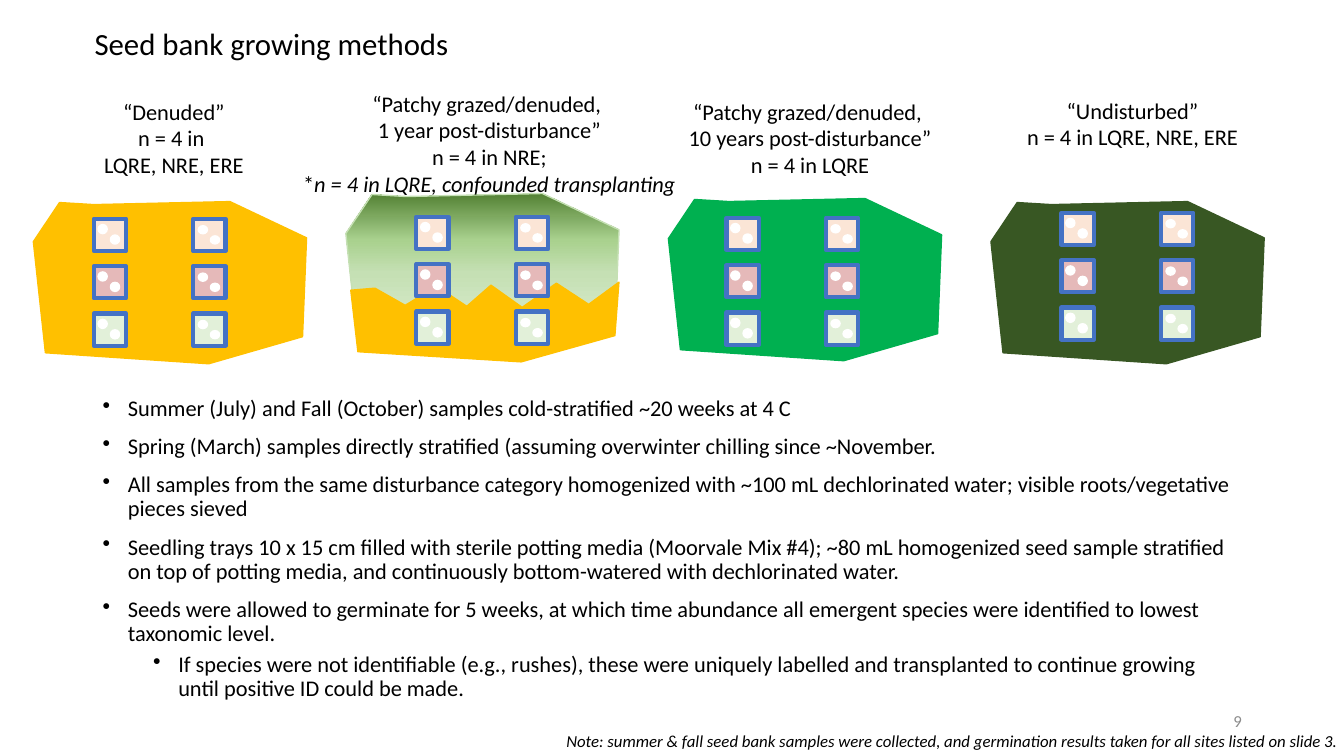
from copy import deepcopy

from lxml import etree
from pptx import Presentation
from pptx.dml.color import RGBColor
from pptx.enum.shapes import MSO_SHAPE
from pptx.enum.text import MSO_ANCHOR, PP_ALIGN
from pptx.oxml.ns import qn
from pptx.util import Inches, Pt

RECT, OVAL = MSO_SHAPE.RECTANGLE, MSO_SHAPE.OVAL
LEFT, MID, RIGHT = PP_ALIGN.LEFT, PP_ALIGN.CENTER, PP_ALIGN.RIGHT
TOP, CENTRE = MSO_ANCHOR.TOP, MSO_ANCHOR.MIDDLE

HUES = {
    "ink": "000000", "grey": "8C8C8C", "white": "FFFFFF", "frame": "4472C4",
    "soil": "FFC000", "green": "00B050", "dark": "385723", "edge": "C5E0B4",
    "peach": "FBE5D6", "rose": "E5B9B9", "mint": "E2F0D9",
    "leaf": "A9D18E", "moss": "548235",
}
FADE = [(0, "mint"), (0.51, "edge"), (0.71, "leaf"), (1, "moss")]

PLOT = [(1.95, 0.13), (0, 5.3), (0.9, 20), (13.05, 21.45), (20.03, 17.87),
        (20.33, 4.8), (14.63, 0), (4.5, 0.4)]
BARE = [(46.05, 37.33), (43.8, 40.27), (41.4, 37.47), (38.85, 40.67),
        (36.53, 37.73), (34.73, 40.53), (32.48, 37.87), (30.15, 40.4),
        (27.9, 38.13), (26.1, 38.4), (26.63, 46.53), (38.78, 47.87),
        (45.75, 44.4)]
SITES = [
    ((25.73, 25.6), "edge", FADE),
    ((2.48, 26.67), "soil", None),
    ((49.73, 26.27), "green", None),
    ((73.73, 26.67), "dark", None),
]
TRAYS = [(6.98, 28.93), (30.98, 28.67), (54.05, 28.8), (78.98, 28.13)]
SEEDS = [
    [(0.32, 0.77, 1.2), (1.24, 2.15, 1.2)],
    [(0.38, 0.93, 1.07), (1.28, 2.27, 1.07)],
]
LABELS = [
    ((6.9, 12.27, 12.08, 12.13),
     ["“Denuded”", "n = 4 in ", "LQRE, NRE, ERE"]),
    ((21.6, 11.2, 29.63, 15.73),
     ["“Patchy grazed/denuded, ", "1 year post-disturbance”", "n = 4 in NRE;",
      "*_n = 4 in LQRE, confounded transplanting"]),
    ((50.33, 12.27, 19.88, 12.13),
     ["“Patchy grazed/denuded, ", "10 years post-disturbance”",
      "n = 4 in LQRE"]),
    ((75.53, 12.13, 17.48, 8.53),
     ["“Undisturbed”", "n = 4 in LQRE, NRE, ERE"]),
]
STEPS = [
    (0, "Summer (July) and Fall (October) samples cold-stratified ~20 weeks at 4 C"),
    (0, "Spring (March) samples directly stratified (assuming overwinter "
        "chilling since ~November."),
    (0, "All samples from the same disturbance category homogenized with ~100 mL "
        "dechlorinated water; visible roots/vegetative pieces sieved"),
    (0, "Seedling trays 10 x 15 cm filled with sterile potting media (Moorvale "
        "Mix #4); ~80 mL homogenized seed sample stratified on top of potting "
        "media, and continuously bottom-watered with dechlorinated water."),
    (0, "Seeds were allowed to germinate for 5 weeks, at which time abundance all "
        "emergent species were identified to lowest taxonomic level."),
    (1, "If species were not identifiable (e.g., rushes), these were uniquely "
        "labelled and transplanted to continue growing until positive ID could "
        "be made."),
]
NOTE = ("Note: summer & fall seed bank samples were collected, and germination "
        "results taken for all sites listed on slide 3.")


class Page:
    face = "Calibri"

    def __init__(self, deck):
        self.wide, self.high = deck.slide_width, deck.slide_height
        self.shapes = deck.slides.add_slide(deck.slide_layouts[6]).shapes

    def place(self, *spots):
        sides = (self.wide, self.high) * 2
        return [round(spot * side / 100) for spot, side in zip(spots, sides)]

    def hue(self, name):
        return RGBColor.from_string(HUES[name])

    def paint(self, shape, fill, line, width=1):
        shape.shadow.inherit = False
        shape.fill.solid()
        shape.fill.fore_color.rgb = self.hue(fill)
        shape.line.color.rgb = self.hue(line)
        shape.line.width = Pt(width)

    def fade(self, shape, stops):
        shape.fill.gradient()
        shape.fill.gradient_angle = 90
        marks = shape._element.find(".//" + qn("a:gsLst"))
        for _ in stops[2:]:
            marks.append(deepcopy(marks[0]))
        for mark, (spot, tone) in zip(shape.fill.gradient_stops, stops):
            mark.position = spot
            mark.color.rgb = self.hue(tone)

    def block(self, form, box, fill, line, width=1):
        self.paint(self.shapes.add_shape(form, *self.place(*box)),
                   fill, line, width)

    def patch(self, points, fill, stops=None):
        spots = [self.place(*point) for point in points]
        pen = self.shapes.build_freeform(*spots[0], scale=1.0)
        pen.add_line_segments(spots[1:], close=True)
        shape = pen.convert_to_shape()
        self.paint(shape, fill, fill)
        if stops:
            self.fade(shape, stops)

    def frame(self, box, wrap=True, anchor=TOP):
        frame = self.shapes.add_textbox(*self.place(*box)).text_frame
        frame.word_wrap = wrap
        frame.vertical_anchor = anchor
        return frame

    def label(self, frame, lines, size=16, tone="ink", align=LEFT, slant=None):
        for row, line in enumerate(lines):
            para = frame.add_paragraph() if row else frame.paragraphs[0]
            para.alignment = align
            font = para.font
            font.name, font.size, font.italic = self.face, Pt(size), slant
            font.color.rgb = self.hue(tone)
            for part, text in enumerate(line.split("_")):
                run = para.add_run()
                run.text = text
                if part:
                    run.font.italic = True

    def points(self, box, items):
        frame = self.frame(box)
        self.label(frame, [text for _, text in items])
        for para, (level, _) in zip(frame.paragraphs, items):
            para.level = level
            para.line_spacing = 0.9
            para.space_before = Pt(5 if level else 10)
            props = para._p.get_or_add_pPr()
            props.set("marL", str(Inches(0.25 + level * 0.5)))
            props.set("indent", str(Inches(-0.25)))
            dot = etree.Element(qn("a:buChar"), char="•")
            props.find(qn("a:defRPr")).addprevious(dot)

    def trays(self, left, top):
        for row, fill in enumerate(("peach", "rose", "mint")):
            for col, seeds in enumerate(SEEDS):
                x, y = left + col * 7.4, top + row * 6.27
                self.block(RECT, (x, y, 2.4, 4.27), fill, "frame", 3)
                for across, down, tall in seeds:
                    self.block(OVAL, (x + across, y + down, 0.68, tall),
                               "white", "white")


def main():
    deck = Presentation()
    deck.slide_width, deck.slide_height = Inches(13.33), Inches(7.5)
    page = Page(deck)
    title = page.frame((6.3, -4, 86.25, 19.33), anchor=CENTRE)
    page.label(title, ["Seed bank growing methods"], 22)
    page.points((6.9, 51.87, 86.25, 38.13), STEPS)
    for (left, top), fill, stops in SITES:
        page.patch([(left + x, top + y) for x, y in PLOT], fill, stops)
        if stops:
            page.patch(BARE, "soil")
    for spot in TRAYS:
        page.trays(*spot)
    for box, lines in LABELS:
        page.label(page.frame(box, wrap=False), lines, align=MID)
    note = page.frame((41.4, 96, 60.38, 4), wrap=False)
    page.label(note, [NOTE], 12, slant=True)
    number = page.frame((70.65, 92.67, 22.5, 5.33), anchor=CENTRE)
    page.label(number, ["9"], 12, "grey", RIGHT)
    deck.save("out.pptx")


if __name__ == "__main__":
    main()
